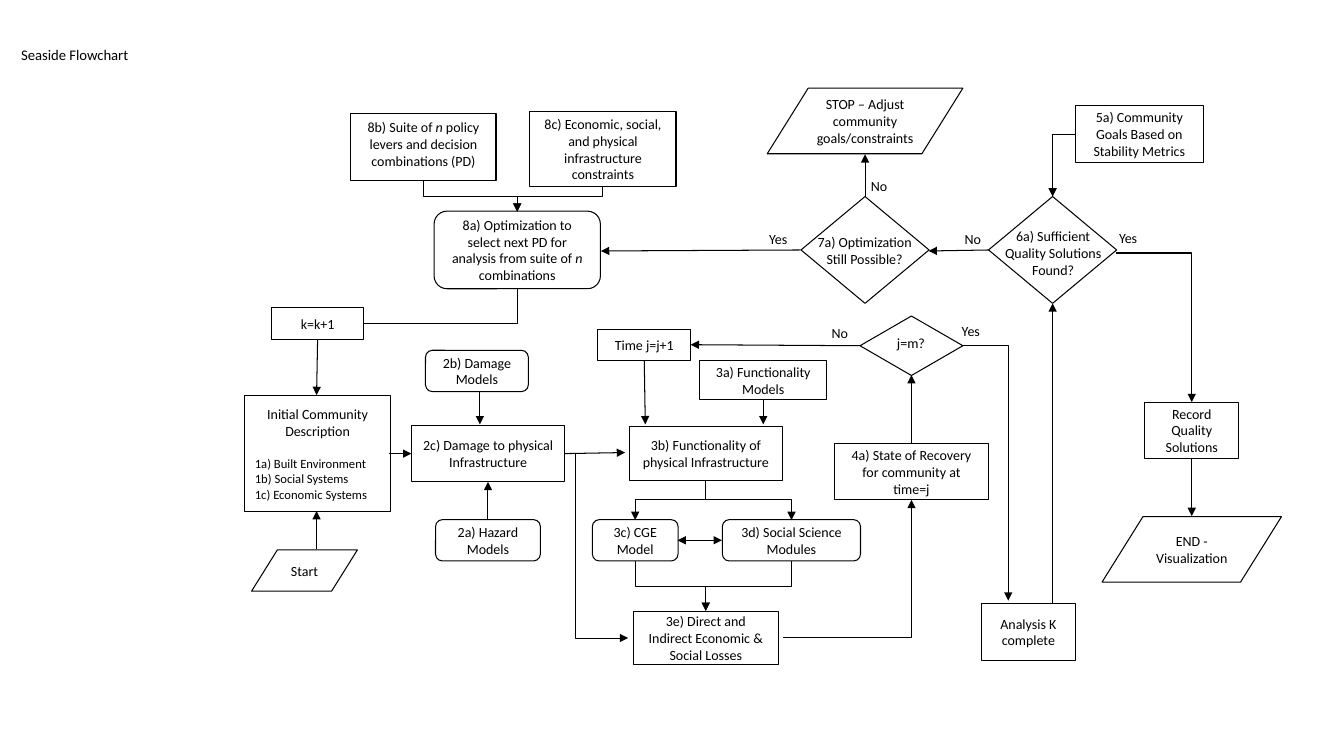
import pptx
import pptx.util
import pptx.dml.color
import pptx.enum.shapes
import pptx.enum.text
import pptx.oxml.ns
import lxml.etree

Inches, Pt, qn = pptx.util.Inches, pptx.util.Pt, pptx.oxml.ns.qn
Preset = pptx.enum.shapes.MSO_SHAPE
Link = pptx.enum.shapes.MSO_CONNECTOR
Align, Anchor = pptx.enum.text.PP_ALIGN, pptx.enum.text.MSO_ANCHOR
INK, PAPER = "000000", "FFFFFF"


def write(frame, text, size=10, align=Align.CENTER, anchor=Anchor.MIDDLE,
          wrap=True, after=0):
    """Append one paragraph per line; parts between asterisks are italic."""
    frame.word_wrap = wrap
    frame.auto_size = pptx.enum.text.MSO_AUTO_SIZE.NONE
    frame.vertical_anchor = anchor
    for line in text.split("\n"):
        paragraph = frame.paragraphs[0] if not frame.text else frame.add_paragraph()
        paragraph.alignment = align
        paragraph.space_after = Pt(after)
        for index, part in enumerate(line.split("*")):
            run = paragraph.add_run()
            run.text = part
            run.font.name, run.font.size = "Calibri", Pt(size)
            run.font.italic = index % 2 == 1
            paint(run.font.fill, INK)


def paint(fill, colour):
    fill.solid()
    fill.fore_color.rgb = pptx.dml.color.RGBColor.from_string(colour)


deck = pptx.Presentation()
deck.slide_width, deck.slide_height = Inches(13.33), Inches(7.5)
slide = deck.slides.add_slide(deck.slide_layouts[5])

title = slide.shapes.title
title.left, title.top, title.width, title.height = map(Inches, (0.11, 0.4, 1.33, 0.29))
write(title.text_frame, "Seaside Flowchart", size=10.5, align=Align.LEFT,
      anchor=Anchor.TOP, wrap=False)

# Centre lines of the columns
community, damage, optimization = 3.15, 4.84, 5.13
cge, functionality, social = 6.3, 7, 7.85
possible, recovery, sufficient, results = 8.58, 9.04, 10.44, 11.82
# Centre lines of the rows
decision_row, time_row, process_row, module_row, loss_row = 2.48, 3.43, 4.5, 5.36, 6.33

# Steps: centre x, centre y, width, height, text
steps = {
    Preset.RECTANGLE: [
        (community, 4.5, 1.44, 1.15, ""),
        (damage, process_row, 1.52, 0.56, "2c) Damage to physical Infrastructure"),
        (recovery, 4.68, 1.52, 0.56, "4a) State of Recovery for community at time=j"),
        (6.39, time_row - 0.01, 0.92, 0.31, "Time j=j+1"),
        (10.2, 6.27, 0.93, 0.56, "Analysis K complete"),
        (results, 4.27, 0.93, 0.56, "Record Quality Solutions"),
        (11.3, 1.33, 1.27, 0.56, "5a) Community Goals Based on Stability Metrics"),
        (5.98, 1.48, 1.45, 0.74,
         "8c) Economic, social, and physical infrastructure constraints"),
        (community, 3.21, 0.92, 0.31, "k=k+1"),
        (functionality, loss_row, 1.44, 0.53,
         "3e) Direct and Indirect Economic & Social Losses"),
        (functionality, process_row, 1.52, 0.53,
         "3b) Functionality of physical Infrastructure"),
        (7.57, 3.77, 1.26, 0.38, "3a) Functionality Models"),
        (4.2, 1.46, 1.44, 0.66,
         "8b) Suite of *n* policy levers and decision combinations (PD)"),
    ],
    Preset.ROUNDED_RECTANGLE: [
        (4.73, 3.68, 1.02, 0.41, "2b) Damage Models"),
        (damage, module_row, 1.04, 0.41, "2a) Hazard Models"),
        (cge, module_row, 0.85, 0.41, "3c) CGE Model"),
        (social, module_row, 1.37, 0.41, "3d) Social Science Modules"),
        (optimization, decision_row, 1.65, 0.77,
         "8a) Optimization to select next PD for analysis from suite of *n* combinations"),
    ],
    Preset.PARALLELOGRAM: [
        (3.02, 5.66, 1.05, 0.41, "Start"),
        (results, 5.45, 1.78, 0.65, "END - Visualization"),
        (possible, 1.2, 1.94, 0.65, "STOP – Adjust community goals/constraints"),
    ],
    Preset.DIAMOND: [
        (recovery, time_row, 1.02, 0.59, ""),
        (sufficient, decision_row, 1.27, 1.06, ""),
        (possible, decision_row, 1.27, 1.06, ""),
    ],
}
for preset, places in steps.items():
    for x, y, width, height, text in places:
        step = slide.shapes.add_shape(preset, Inches(x - width / 2), Inches(y - height / 2),
                                      Inches(width), Inches(height))
        step.shadow.inherit = False
        paint(step.fill, PAPER)
        paint(step.line.fill, INK)
        step.line.width = Pt(0.75)
        if preset == Preset.PARALLELOGRAM:
            step.adjustments[0] = 0.625
        if text:
            top = text.startswith("8b")
            write(step.text_frame, text, anchor=Anchor.TOP if top else Anchor.MIDDLE)
        elif x == community:
            write(step.text_frame, "Initial Community Description", after=12)
            write(step.text_frame,
                  "1a) Built Environment\n1b) Social Systems\n1c) Economic Systems",
                  size=9, align=Align.LEFT)

# Questions and answers: left, top, width, height, text
captions = [
    (9.82, 2.21, 1.25, 0.61, "6a) Sufficient Quality Solutions Found?"),
    (7.95, 2.27, 1.25, 0.44, "7a) Optimization Still Possible?"),
    (8.67, 3.27, 0.73, 0.27, "j=m?"),
    (8.15, 3.17, 0.37, 0.27, "No"),
    (9.47, 2.24, 0.37, 0.27, "No"),
    (8.54, 1.71, 0.37, 0.27, "No"),
    (9.44, 3.15, 0.39, 0.27, "Yes"),
    (11, 2.23, 0.39, 0.27, "Yes"),
    (7.53, 2.24, 0.39, 0.27, "Yes"),
]
for *place, text in captions:
    caption = slide.shapes.add_textbox(*map(Inches, place))
    question = text.endswith("?")
    write(caption.text_frame, text, anchor=Anchor.TOP, wrap=question,
          align=Align.CENTER if question else Align.LEFT)

# Flows: shape, x and y of both ends, then share of the way to the bend
STRAIGHT, CORNER, STEP = "line", "bentConnector2", "bentConnector3"
across = [
    (STRAIGHT, 3.14, 5.45, 3.14, 5.07),
    (STRAIGHT, 3.86, process_row, 4.08, process_row),
    (STRAIGHT, damage, 5.16, damage, 4.78),
    (STRAIGHT, 4.76, 3.88, 4.76, 4.21),
    (STRAIGHT, 6.72, module_row, 7.16, module_row),
    (STRAIGHT, 5.6, process_row, 6.2, 4.49),
    (STRAIGHT, recovery, 4.4, recovery, 3.72),
    (STRAIGHT, 8.54, time_row, 6.85, 3.42),
    (STRAIGHT, 6.39, 3.58, 6.4, 4.21),
    (STRAIGHT, 7.57, 3.96, 7.57, 4.21),
    (STRAIGHT, sufficient, 5.99, sufficient, 3.01),
    (STRAIGHT, results, 4.55, results, 5.12),
    (STRAIGHT, 9.81, decision_row, 9.21, 2.49),
    (STRAIGHT, 7.94, decision_row, 5.96, 2.49),
    (STRAIGHT, possible, 1.95, possible, 1.53),
    (STRAIGHT, community, 3.37, 3.14, 3.92),
    (STEP, 5.6, process_row, 6.23, loss_row, 0.17),
    (CORNER, 7.77, loss_row, recovery, 4.96),
    (CORNER, 9.55, time_row, 10, 5.96),
    (CORNER, 11.07, 2.51, results, 3.99),
    (CORNER, 10.66, 1.33, sufficient, 1.95),
]
downward = [
    (STEP, 4.2, 1.79, optimization, 2.1, 0.5),
    (STEP, 5.98, 1.85, optimization, 2.1, 0.38),
    (STEP, functionality, 4.76, cge, 5.16, 0.5),
    (STEP, functionality, 4.76, social, 5.16, 0.5),
    (STEP, cge, 5.57, functionality, 6.06, 0.5),
    (STEP, social, 5.57, functionality, 6.06, 0.5),
    (CORNER, optimization, 2.87, 3.61, 3.21),
]
for flow in across + downward:
    route, x1, y1, x2, y2, *bend = flow
    ends = x1, y1, x2, y2
    turned = flow in downward
    if turned:
        # A route that leaves downward is a sideways one turned about its middle
        turn = 1 if x2 < x1 else -1
        mid_x, mid_y = (x1 + x2) / 2, (y1 + y2) / 2
        dx, dy = turn * (x1 - mid_x), turn * (y1 - mid_y)
        ends = mid_x + dy, mid_y - dx, mid_x - dy, mid_y + dx
    arrow = slide.shapes.add_connector(Link.STRAIGHT if route == STRAIGHT else Link.ELBOW,
                                       *map(Inches, ends))
    paint(arrow.line.fill, INK)
    arrow.line.width = Pt(0.75)
    properties = arrow._element.spPr
    lxml.etree.SubElement(properties, qn("a:effectLst"))
    if turned:
        properties.find(qn("a:xfrm")).set("rot", str(turn * 90 * 60000 % 21600000))
    geometry = properties.find(qn("a:prstGeom"))
    geometry.set("prst", route)
    for share in bend:
        guides = geometry.find(qn("a:avLst"))
        if guides is None:
            guides = lxml.etree.SubElement(geometry, qn("a:avLst"))
        lxml.etree.SubElement(guides, qn("a:gd"), name="adj1", fmla=f"val {share * 100000:.0f}")
    heads = ["headEnd", "tailEnd"] if (x1, x2) == (6.72, 7.16) else ["tailEnd"]
    if x2 != 3.61:
        for head in heads:
            lxml.etree.SubElement(properties.find(qn("a:ln")), qn(f"a:{head}"), type="triangle")

deck.save("out.pptx")
